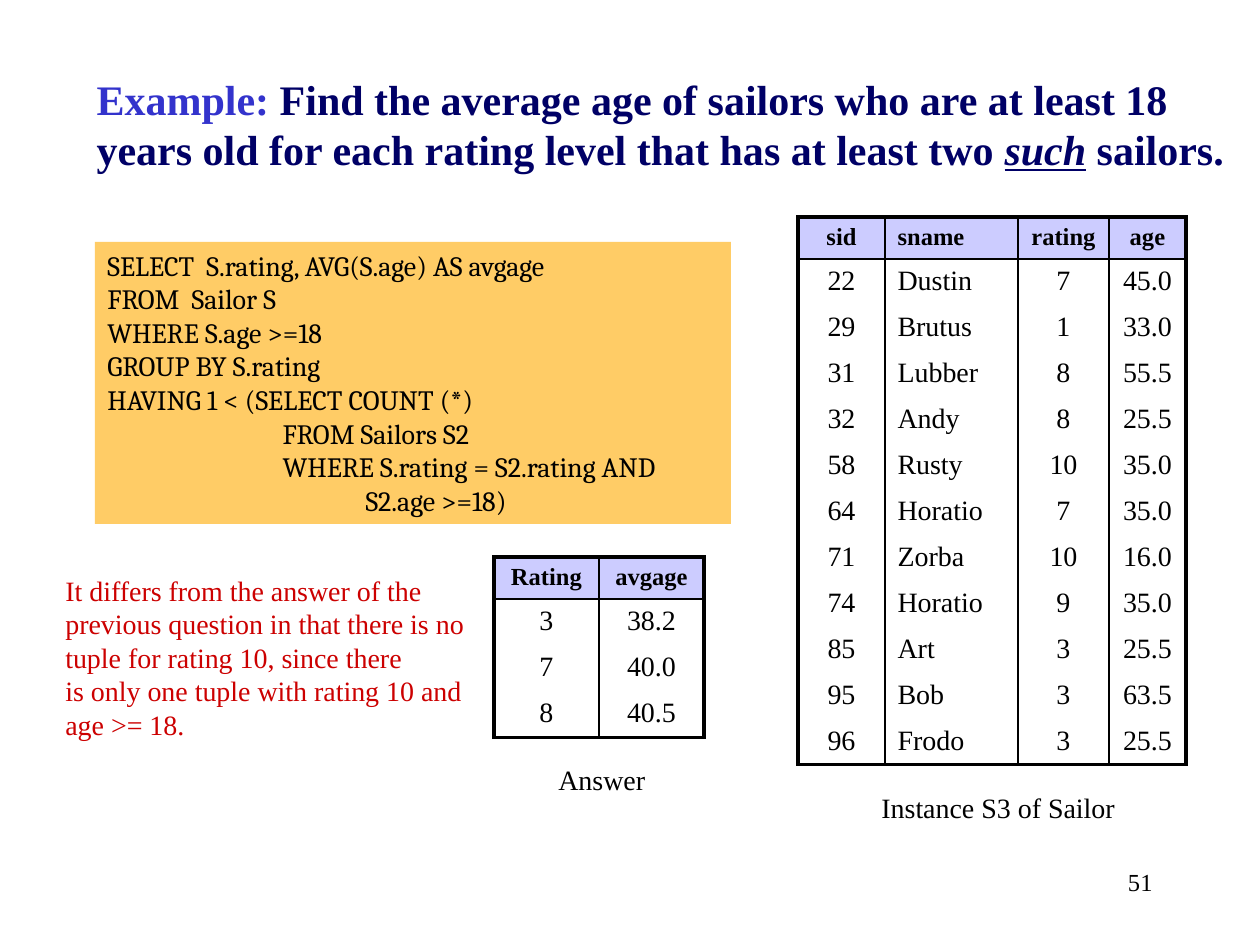
import lxml.etree
import pptx
import pptx.dml.color
import pptx.enum.shapes
import pptx.enum.text
import pptx.oxml
import pptx.oxml.ns
import pptx.util

RGBColor = pptx.dml.color.RGBColor
PP_ALIGN = pptx.enum.text.PP_ALIGN
MSO_ANCHOR = pptx.enum.text.MSO_ANCHOR

BLACK = RGBColor(0x00, 0x00, 0x00)
BLUE = RGBColor(0x33, 0x33, 0xCC)
NAVY = RGBColor(0x00, 0x00, 0x66)
RED = RGBColor(0xCC, 0x00, 0x00)
LAVENDER = RGBColor(0xCC, 0xCC, 0xFF)
ORANGE = RGBColor(0xFF, 0xCC, 0x66)

SERIF = "Times New Roman"
PX_PER_INCH = 126
THICK, THIN = 2.25, 1
HEADER_HEIGHT, ROW_HEIGHT = 42, 46

SAILORS = [
    ("sid", "sname", "rating", "age"),
    ("22", "Dustin", "7", "45.0"),
    ("29", "Brutus", "1", "33.0"),
    ("31", "Lubber", "8", "55.5"),
    ("32", "Andy", "8", "25.5"),
    ("58", "Rusty", "10", "35.0"),
    ("64", "Horatio", "7", "35.0"),
    ("71", "Zorba", "10", "16.0"),
    ("74", "Horatio", "9", "35.0"),
    ("85", "Art", "3", "25.5"),
    ("95", "Bob", "3", "63.5"),
    ("96", "Frodo", "3", "25.5"),
]
ANSWER = [("Rating", "avgage"), ("3", "38.2"), ("7", "40.0"), ("8", "40.5")]

QUERY = [
    "SELECT  S.rating, AVG(S.age) AS avgage",
    "FROM  Sailor S",
    "WHERE S.age >=18",
    "GROUP BY S.rating",
    "HAVING 1 < (SELECT COUNT (*)",
    "\t        FROM Sailors S2",
    "\t        WHERE S.rating = S2.rating AND",
    "                                          S2.age >=18)",
]
REMARK = [
    "It differs from the answer of the",
    "previous question in that there is no",
    "tuple for rating 10, since there",
    "is only one tuple with rating 10 and",
    "age >= 18.",
]


def px(*lengths):
    return [pptx.util.Emu(round(length * 914400 / PX_PER_INCH)) for length in lengths]


def set_font(font, size, color, name=SERIF, bold=False):
    font.name = name
    font.size = pptx.util.Pt(size)
    font.bold = bold
    font.color.rgb = color


def add_tab_stop(paragraph, position):
    qn = pptx.oxml.ns.qn
    tabs = lxml.etree.SubElement(paragraph._p.get_or_add_pPr(), qn("a:tabLst"))
    lxml.etree.SubElement(tabs, qn("a:tab"), pos=str(px(position)[0]), algn="l")


def write_lines(shape, lines, size, color, name=SERIF, align=PP_ALIGN.LEFT):
    frame = shape.text_frame
    frame.word_wrap = False
    frame.vertical_anchor = MSO_ANCHOR.TOP
    for index, line in enumerate(lines):
        paragraph = frame.add_paragraph() if index else frame.paragraphs[0]
        paragraph.add_run().text = line
        paragraph.alignment = align
        if "\t" in line:
            add_tab_stop(paragraph, PX_PER_INCH)
        set_font(paragraph.font, size, color, name)


def add_label(slide, box, lines, size=16, color=BLACK, align=PP_ALIGN.LEFT):
    shape = slide.shapes.add_textbox(*px(*box))
    write_lines(shape, lines, size, color, align=align)


def add_query(slide, box):
    shape = slide.shapes.add_shape(pptx.enum.shapes.MSO_SHAPE.RECTANGLE, *px(*box))
    shape.shadow.inherit = False
    shape.fill.solid()
    shape.fill.fore_color.rgb = ORANGE
    shape.line.fill.background()
    write_lines(shape, QUERY, 16, BLACK, "Cambria")


def set_title(slide, box):
    title = slide.shapes.title
    title.left, title.top, title.width, title.height = px(*box)
    frame = title.text_frame
    frame.auto_size = pptx.enum.text.MSO_AUTO_SIZE.NONE
    frame.vertical_anchor = MSO_ANCHOR.MIDDLE
    paragraph = frame.paragraphs[0]
    paragraph.alignment = PP_ALIGN.LEFT
    set_font(paragraph.font, 24, NAVY, bold=True)
    lead, question, stressed, ending = [paragraph.add_run() for _ in range(4)]
    lead.text = "Example:"
    lead.font.color.rgb = BLUE
    question.text = (" Find the average age of sailors who are at least 18 "
                     "years old for each rating level that has at least two ")
    stressed.text = "such"
    stressed.font.italic = True
    stressed.font.underline = True
    ending.text = " sailors."


def set_borders(cell, widths):
    """Give the left, right, top and bottom widths in points; 0 is no line."""
    properties = cell._tc.get_or_add_tcPr()
    for position, (side, width) in enumerate(zip("LRTB", widths)):
        paint = '<a:solidFill><a:srgbClr val="000000"/></a:solidFill>' if width else "<a:noFill/>"
        properties.insert(position, pptx.oxml.parse_xml(
            f'<a:ln{side} {pptx.oxml.ns.nsdecls("a")} w="{pptx.util.Pt(width)}">{paint}</a:ln{side}>'))


def add_grid(slide, left, top, column_widths, rows, left_columns=()):
    height = HEADER_HEIGHT + ROW_HEIGHT * (len(rows) - 1)
    table = slide.shapes.add_table(len(rows), len(column_widths),
                                   *px(left, top, sum(column_widths), height)).table
    for column, width in zip(table.columns, px(*column_widths)):
        column.width = width
    last_row, last_column = len(rows) - 1, len(column_widths) - 1
    for r, values in enumerate(rows):
        header = r == 0
        table.rows[r].height = px(HEADER_HEIGHT if header else ROW_HEIGHT)[0]
        for c, value in enumerate(values):
            cell = table.cell(r, c)
            if header:
                cell.fill.solid()
                cell.fill.fore_color.rgb = LAVENDER
            else:
                cell.fill.background()
            # Thick frame, thin column lines, thin rule under the header
            set_borders(cell, (
                THICK if c == 0 else THIN,
                THICK if c == last_column else THIN,
                THICK if header else THIN if r == 1 else 0,
                THICK if r == last_row else THIN if header else 0,
            ))
            paragraph = cell.text_frame.paragraphs[0]
            paragraph.add_run().text = value
            paragraph.alignment = PP_ALIGN.LEFT if c in left_columns else PP_ALIGN.CENTER
            set_font(paragraph.font, 14 if header else 16, BLACK, bold=header)


def main():
    presentation = pptx.Presentation()
    presentation.slide_width, presentation.slide_height = px(1260, 945)
    slide = presentation.slides.add_slide(presentation.slide_layouts[5])

    set_title(slide, (84, 58, 1166, 131))

    # Sailor instance
    add_grid(slide, 798, 217, (87, 133, 91, 77), SAILORS, left_columns=(1,))
    add_label(slide, (869, 784, 260, 47), ["Instance S3 of Sailor"])

    # Query and its answer
    add_query(slide, (95, 242, 636, 282))
    add_grid(slide, 494, 557, (105, 105), ANSWER)
    add_label(slide, (546, 756, 112, 47), ["Answer"])

    # Remark and slide number
    add_label(slide, (53, 567, 426, 181), REMARK, color=RED)
    add_label(slide, (903, 861, 262, 63), ["51"], size=14, align=PP_ALIGN.RIGHT)

    presentation.save("out.pptx")


if __name__ == "__main__":
    main()
